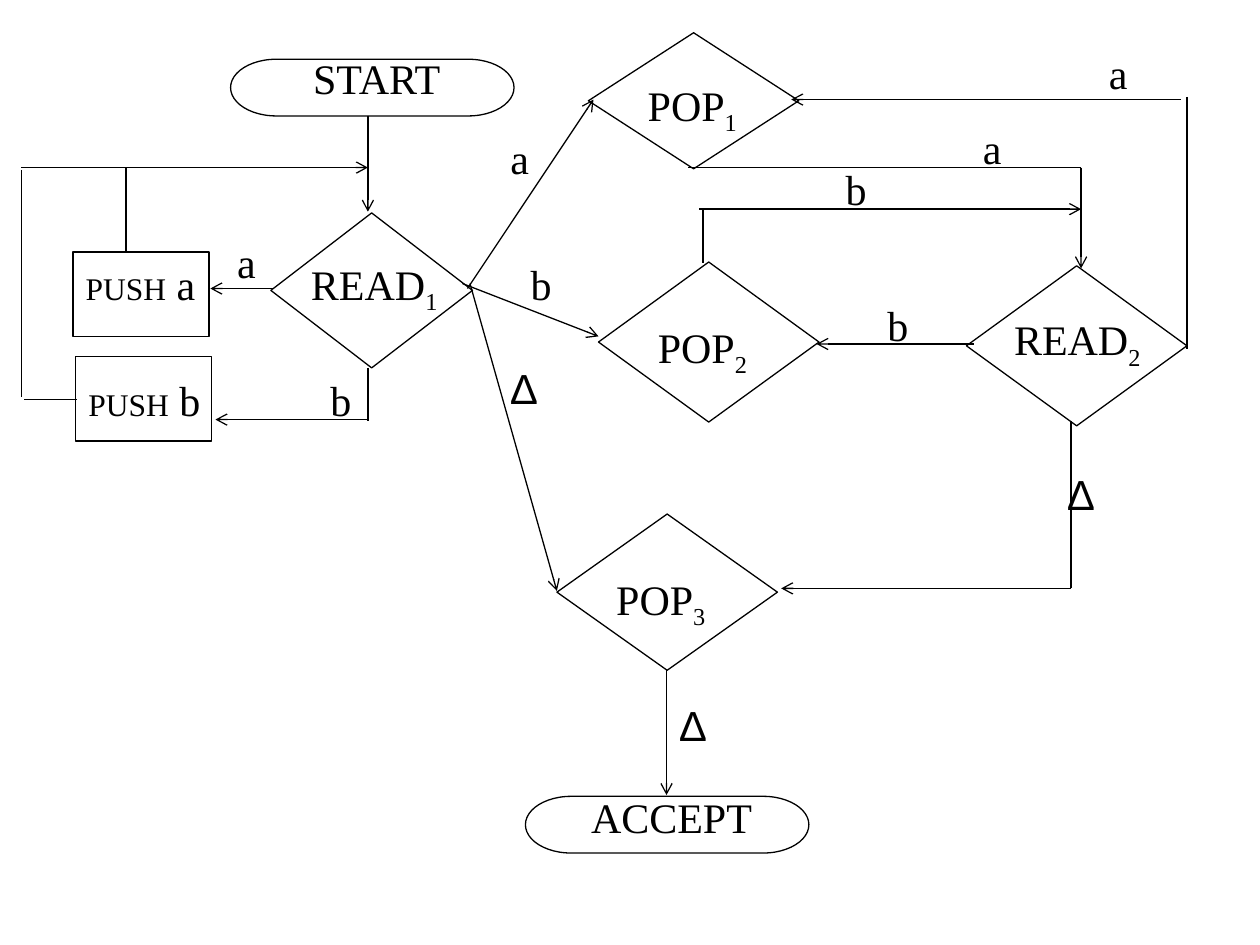
from lxml.etree import SubElement as Sub
from pptx import Presentation
from pptx.dml.color import RGBColor as RGB
from pptx.enum.shapes import MSO_CONNECTOR as Link, MSO_SHAPE as Kind
from pptx.enum.text import MSO_AUTO_SIZE as Fit, PP_ALIGN as Align
from pptx.oxml.ns import qn
from pptx.util import Inches, Pt

COLORS = {"ink": "000000", "paper": "FFFFFF"}


class Chart:
    """Draws flowchart parts on one slide in a shared style."""

    def __init__(self, slide):
        self.slide = slide
        self.shapes = slide.shapes
        self.ink = RGB.from_string(COLORS["ink"])
        self.font = "Times New Roman"
        self.size = 24
        fill = slide.background.fill
        fill.solid()
        fill.fore_color.rgb = RGB.from_string(COLORS["paper"])

    def stroke(self, line):
        line.color.rgb = self.ink
        line.width = Pt(0.75)

    def node(self, kind, x, y, w, h):
        shape = self.shapes.add_shape(kind, *map(Inches, (x, y, w, h)))
        shape.shadow.inherit = False
        shape.fill.background()
        self.stroke(shape.line)

    def text(self, words, x, y, w, wrap=True, font=None):
        box = self.shapes.add_textbox(*map(Inches, (x, y, w, 0.5)))
        frame = box.text_frame
        frame.word_wrap = wrap
        frame.auto_size = Fit.SHAPE_TO_FIT_TEXT
        para = frame.paragraphs[0]
        para.alignment = Align.CENTER
        para.font.name = font or self.font
        para.font.size = Pt(self.size)
        para.font.color.rgb = self.ink
        para.add_run().text = words
        return para

    def indexed(self, word, index, x, y, w):
        run = self.text(word, x, y, w, wrap=False).add_run()
        run.text = index
        run.font._element.set("baseline", "-25000")

    def push(self, letter, x, y, w, top):
        self.node(Kind.RECTANGLE, x, y, 1.08, 0.67)
        para = self.text("PUSH", x, top, w, wrap=False)
        para.runs[0].font.size = Pt(18)
        para.add_run().text = " " + letter

    def line(self, x1, y1, x2, y2, arrow=False):
        link = self.shapes.add_connector(Link.STRAIGHT, *map(Inches, (x1, y1, x2, y2)))
        self.stroke(link.line)
        if arrow:
            Sub(link.line._get_or_add_ln(), qn("a:tailEnd"), type="arrow")
        Sub(link._element.spPr, qn("a:effectLst"))


ENDS = [("START", 2.24, 0.37, 1.83, 0.47), ("ACCEPT", 4.58, 6.23, 4.17, 6.32)]
TESTS = [
    ("READ", "1", (2.15, 1.69, 1.6, 1.23), (2.36, 2, 1.22)),
    ("READ", "2", (7.67, 2.11, 1.75, 1.27), (7.94, 2.44, 1.22)),
    ("POP", "1", (4.67, 0.26, 1.67, 1.08), (5.03, 0.58, 0.93)),
    ("POP", "2", (4.75, 2.08, 1.75, 1.27), (5.11, 2.5, 0.93)),
    ("POP", "3", (4.42, 4.08, 1.75, 1.24), (4.78, 4.5, 0.93)),
]
PUSHES = [("a", 0.58, 2, 1.07, 2), ("b", 0.6, 2.83, 1.09, 2.92)]
LABELS = {
    "a": [(3.75, 1), (1.58, 1.83), (8.5, 0.33), (7.5, 0.92)],
    "b": [(2.33, 2.92), (6.75, 2.33), (3.92, 2), (6.42, 1.25)],
    "∆ ": [(3.83, 2.83), (5.17, 5.5), (8.25, 3.67)],
}
ARROWS = [
    (2.92, 0.92, 2.92, 1.68),
    (1, 1.33, 2.92, 1.33),
    (2.17, 2.29, 1.67, 2.29),
    (2.91, 3.33, 1.71, 3.33),
    (3.71, 2.29, 4.71, 0.79),
    (3.67, 2.25, 4.75, 2.67),
    (3.73, 2.25, 4.42, 4.69),
    (5.55, 1.66, 8.58, 1.66),
    (8.58, 1.33, 8.58, 2.13),
    (9.37, 0.79, 6.28, 0.79),
    (7.73, 2.73, 6.48, 2.73),
    (8.5, 4.67, 6.2, 4.67),
    (5.29, 5.31, 5.29, 6.31),
]
LINES = [
    (1, 1.33, 1, 2),
    (0.61, 3.17, 0.19, 3.17),
    (0.17, 1.35, 0.17, 3.15),
    (0.17, 1.33, 1.17, 1.33),
    (2.92, 2.92, 2.92, 3.34),
    (5.58, 1.67, 5.58, 2.09),
    (8.58, 1.33, 5.46, 1.33),
    (9.42, 0.77, 9.42, 2.77),
    (8.5, 4.67, 8.5, 3.34),
]


def main():
    deck = Presentation()
    deck.slide_width, deck.slide_height = Inches(10), Inches(7.5)
    chart = Chart(deck.slides.add_slide(deck.slide_layouts[6]))
    for word, left, top, x, y in ENDS:
        chart.text(word, left, top, 1.5)
        chart.node(Kind.FLOWCHART_TERMINATOR, x, y, 2.25, 0.45)
    for word, index, frame, place in TESTS:
        chart.node(Kind.FLOWCHART_DECISION, *frame)
        chart.indexed(word, index, *place)
    for item in PUSHES:
        chart.push(*item)
    for ends in ARROWS:
        chart.line(*ends, arrow=True)
    for ends in LINES:
        chart.line(*ends)
    for letter, spots in LABELS.items():
        font = "Arial" if letter == "∆ " else None
        for x, y in spots:
            chart.text(letter, x, y, 0.75, font=font)
    deck.save("out.pptx")


if __name__ == "__main__":
    main()
